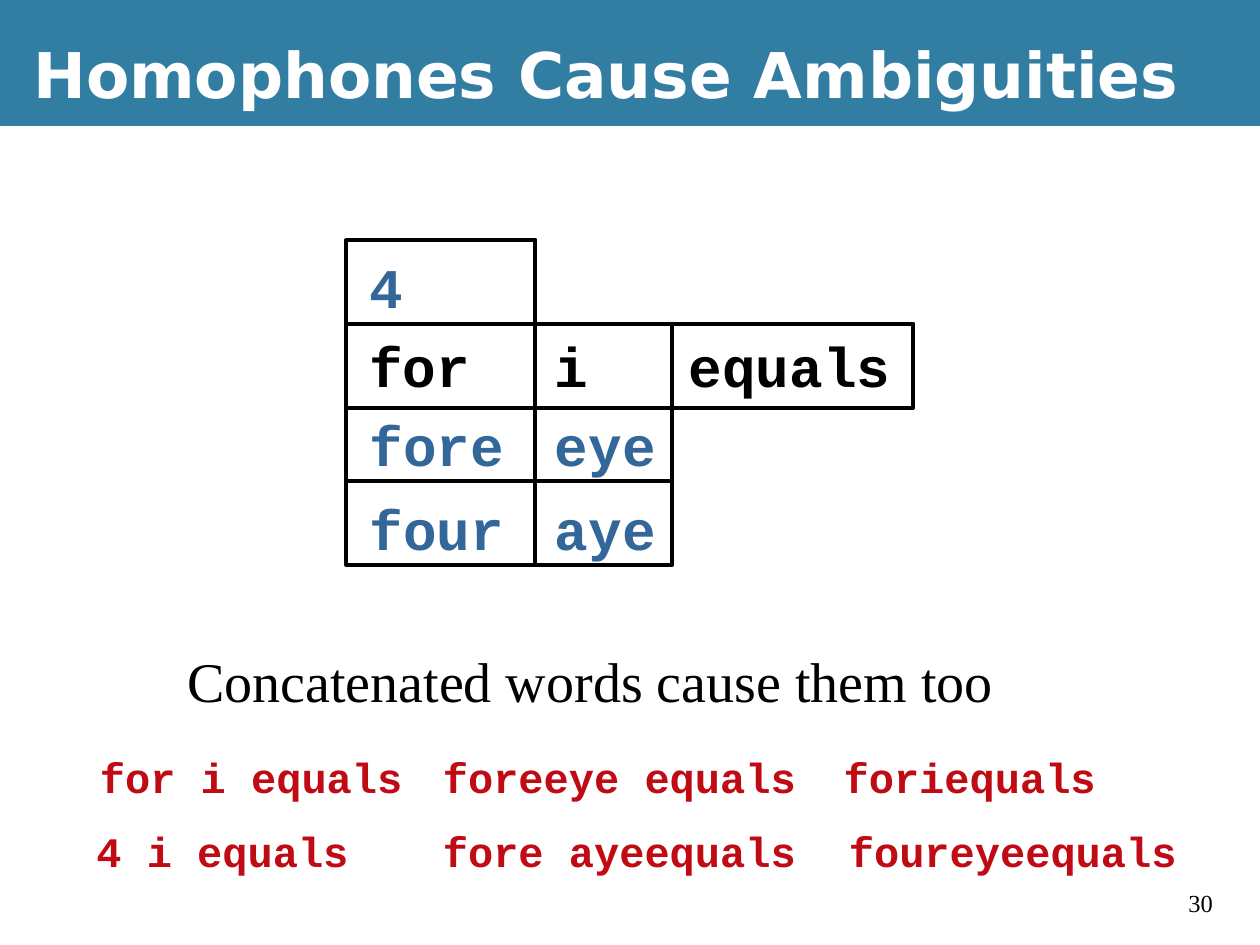
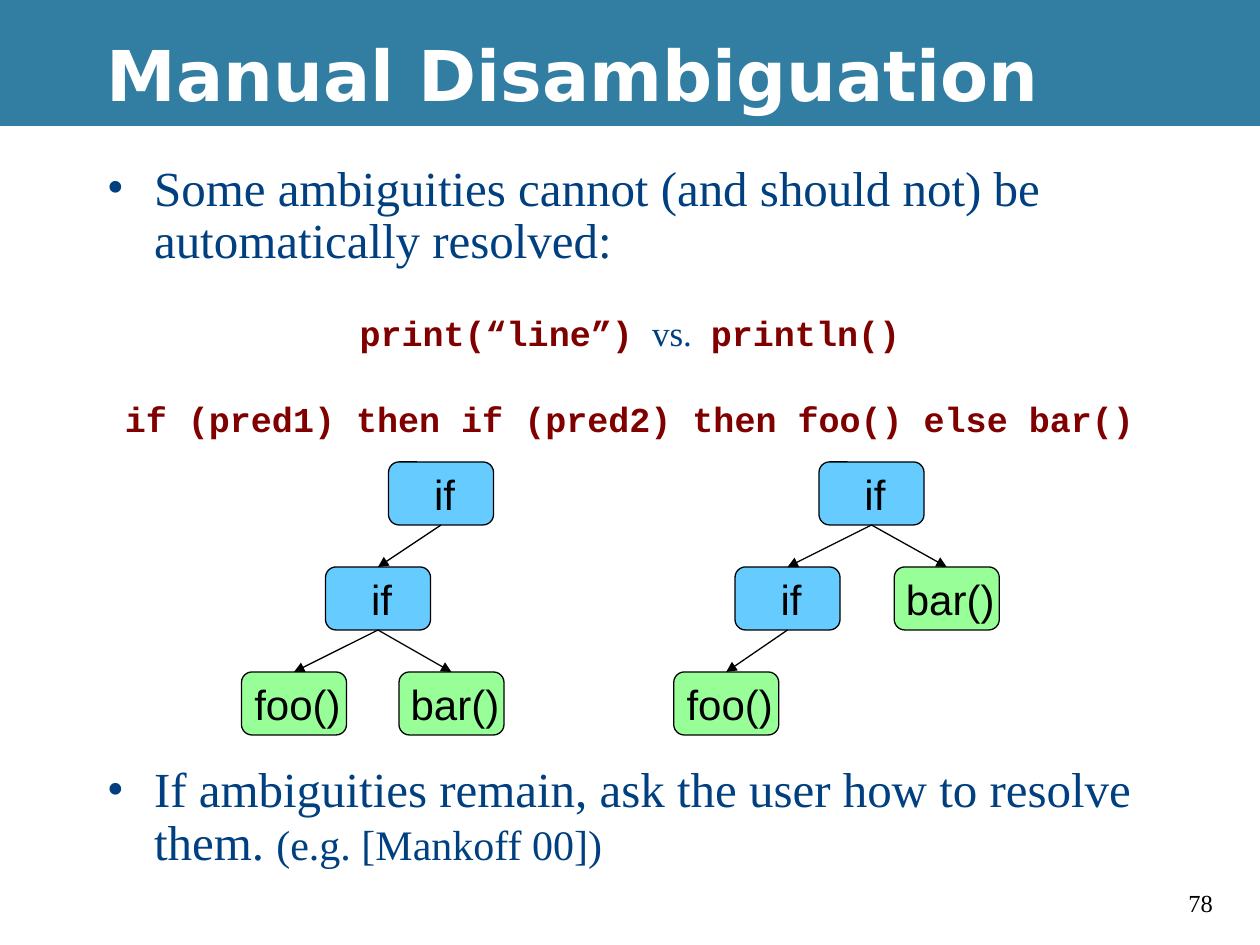
from pptx import Presentation
from pptx.dml.color import RGBColor
from pptx.enum.shapes import MSO_CONNECTOR, MSO_SHAPE
from pptx.enum.text import MSO_ANCHOR, PP_ALIGN
from pptx.oxml.ns import qn
from pptx.util import Pt
from lxml.etree import SubElement

BLACK, WHITE, BAND = "000000", "FFFFFF", "327EA3"
NAVY, SKY, MINT = "004080", "66CCFF", "98FF98"

TITLE = dict(name="DejaVu Sans", bold=True, color=WHITE)
SERIF = dict(name="Times New Roman", color=BLACK)
WORD = dict(name="Courier New", size=32, bold=True, color=BLACK)
OTHER = dict(WORD, color="336699")
SPOKEN = dict(WORD, size=24, color="C00B15")
BODY = dict(SERIF, size=28, color=NAVY)
CODE = dict(WORD, size=20, color="800000")
NODE = dict(name="Arial", size=24, color=BLACK)


def paint(target, tone):
    """Give a fill a solid colour, or none."""
    if tone is None:
        target.background()
    else:
        target.solid()
        target.fore_color.rgb = RGBColor.from_string(tone)


def style(font, form):
    for key, value in form.items():
        if key == "color":
            paint(font.fill, value)
        else:
            setattr(font, key, Pt(value) if key == "size" else value)


def write(para, *parts):
    for words, form in parts:
        run = para.add_run()
        run.text = words
        style(run.font, form)


def label(slide, box, words, form, wrap=False, anchor=MSO_ANCHOR.TOP):
    frame = slide.shapes.add_textbox(*map(Pt, box)).text_frame
    frame.word_wrap = wrap
    frame.vertical_anchor = anchor
    write(frame.paragraphs[0], (words, form))


def mono(slide, left, top, words, form):
    """Place one line of fixed-width text in a box that fits it."""
    size = form["size"]
    box = left, top, len(words) * size * 0.6 + 14.4, size * 1.2 + 7.2
    label(slide, box, words, form)


def block(slide, box, fill=None, line=None, weight=0.75, kind=MSO_SHAPE.RECTANGLE):
    shape = slide.shapes.add_shape(kind, *map(Pt, box))
    shape.shadow.inherit = False
    paint(shape.fill, fill)
    paint(shape.line.fill, line)
    if line:
        shape.line.width = Pt(weight)
    return shape


def page(deck, title, left, size, number):
    """Add a slide with the shared band, title and number."""
    slide = deck.slides.add_slide(deck.slide_layouts[6])
    paint(slide.background.fill, BLACK)
    block(slide, (0, 72, 720, 468), WHITE)
    block(slide, (0, 0, 720, 72), BAND)
    label(slide, (672, 504, 36, 24.5), number, dict(SERIF, size=14), True)
    label(slide, (left, 6, 714 - left, 72), title, dict(TITLE, size=size),
          True, MSO_ANCHOR.MIDDLE)
    return slide


def grid(slide, left, top):
    """Draw the words with their homophones and the frames around them."""
    cols, rows = (0, 108, 186, 324), (0, 48, 96, 138, 186)
    spans = [(0, 1, 3, 2), (1, 3, 2, 4), (0, 0, 1, 4), (0, 1, 2, 3)]
    for west, north, east, south in spans:
        box = (left + cols[west], top + rows[north],
               cols[east] - cols[west], rows[south] - rows[north])
        block(slide, box, line=BLACK, weight=2.25)
    lines = [["4"], ["for", "i", "equals"], ["fore", "eye"], ["four", "aye"]]
    for drop, line in zip((4, 49, 94, 142), lines):
        form = WORD if line[0] == "for" else OTHER
        for shift, word in zip((6, 112, 188.5), line):
            mono(slide, left + shift, top + drop, word, form)


def phrases(slide, left, top):
    label(slide, (left + 52, top, 490, 46), "Concatenated words cause them too",
          dict(SERIF, size=32), True)
    lines = [
        [(2, "for i equals"), (198, "foreeye equals"), (427, "foriequals")],
        [(0, "4 i equals"), (198, "fore ayeequals"), (430, "foureyeequals")],
    ]
    for row, line in enumerate(lines):
        for shift, words in line:
            mono(slide, left + shift, top + 60 + 42 * row, words, SPOKEN)


def bullet(para):
    props = para._p.get_or_add_pPr()
    props.set("marL", str(Pt(27)))
    props.set("indent", str(Pt(-27)))
    tone = SubElement(props, qn("a:buClr"))
    SubElement(tone, qn("a:srgbClr"), val=NAVY)
    SubElement(props, qn("a:buFont"), typeface="Times New Roman")
    SubElement(props, qn("a:buChar"), char="•")


def body(slide, box):
    frame = slide.shapes.add_textbox(*map(Pt, box)).text_frame
    frame.word_wrap = True
    space = (" ", dict(CODE, size=18))
    items = [
        (True, 0, [("Some ambiguities cannot (and should not) be "
                    "automatically resolved:", BODY)]),
        (False, 26.5, [("print(“line”)", CODE), space, ("vs.", dict(BODY, size=20)),
                       space, ("println()", CODE)]),
        (False, 27.5, [("if (pred1) then if (pred2) then foo() else bar()", CODE)]),
        (True, 186, [("If ambiguities remain, ask the user how to resolve them. ", BODY),
                     ("(e.g. [Mankoff 00])", dict(BODY, size=24))]),
    ]
    for index, (dot, gap, parts) in enumerate(items):
        para = frame.add_paragraph() if index else frame.paragraphs[0]
        if dot:
            bullet(para)
        else:
            para.alignment = PP_ALIGN.CENTER
        para.line_spacing = 0.9
        if gap:
            para.space_before = Pt(gap)
        write(para, *parts)


def node(slide, left, top, words):
    shape = block(slide, (left, top, 60, 36), SKY if words == "if" else MINT, BLACK,
                  kind=MSO_SHAPE.FLOWCHART_ALTERNATE_PROCESS)
    frame = shape.text_frame
    form = dict(margin_left=Pt(4), margin_right=0, margin_top=0, margin_bottom=0,
                word_wrap=False, vertical_anchor=MSO_ANCHOR.MIDDLE)
    for key, value in form.items():
        setattr(frame, key, value)
    para = frame.paragraphs[0]
    para.alignment = PP_ALIGN.CENTER
    write(para, (words, NODE))
    return shape


def arrow(slide, start, end):
    link = slide.shapes.add_connector(MSO_CONNECTOR.STRAIGHT, 0, 0, 0, 0)
    link.begin_connect(start, 2)
    link.end_connect(end, 0)
    paint(link.line.fill, BLACK)
    link.line.width = Pt(0.75)
    SubElement(link.line._get_or_add_ln(), qn("a:tailEnd"), type="triangle")
    SubElement(link._element.spPr, qn("a:effectLst"))


def tree(slide, left, top, nodes):
    """Draw nodes given as (shift, level, words, parent index)."""
    shapes = []
    for shift, level, words, root in nodes:
        shapes.append(node(slide, left + shift, top + 60 * level, words))
        if root is not None:
            arrow(slide, shapes[root], shapes[-1])


def main():
    deck = Presentation()
    deck.slide_width, deck.slide_height = Pt(720), Pt(540)

    first = page(deck, "Homophones Cause Ambiguities", 12, 36, "30")
    grid(first, 198, 137)
    phrases(first, 48, 366)

    second = page(deck, "Manual Disambiguation", 54, 40, "78")
    body(second, (54, 90, 612, 420))
    tree(second, 138, 264, [(84, 0, "if", None), (48, 1, "if", 0),
                            (0, 2, "foo()", 1), (90, 2, "bar()", 1)])
    tree(second, 385, 264, [(83, 0, "if", None), (35, 1, "if", 0),
                            (0, 2, "foo()", 1), (126, 1, "bar()", 0)])
    deck.save("out.pptx")


if __name__ == "__main__":
    main()
